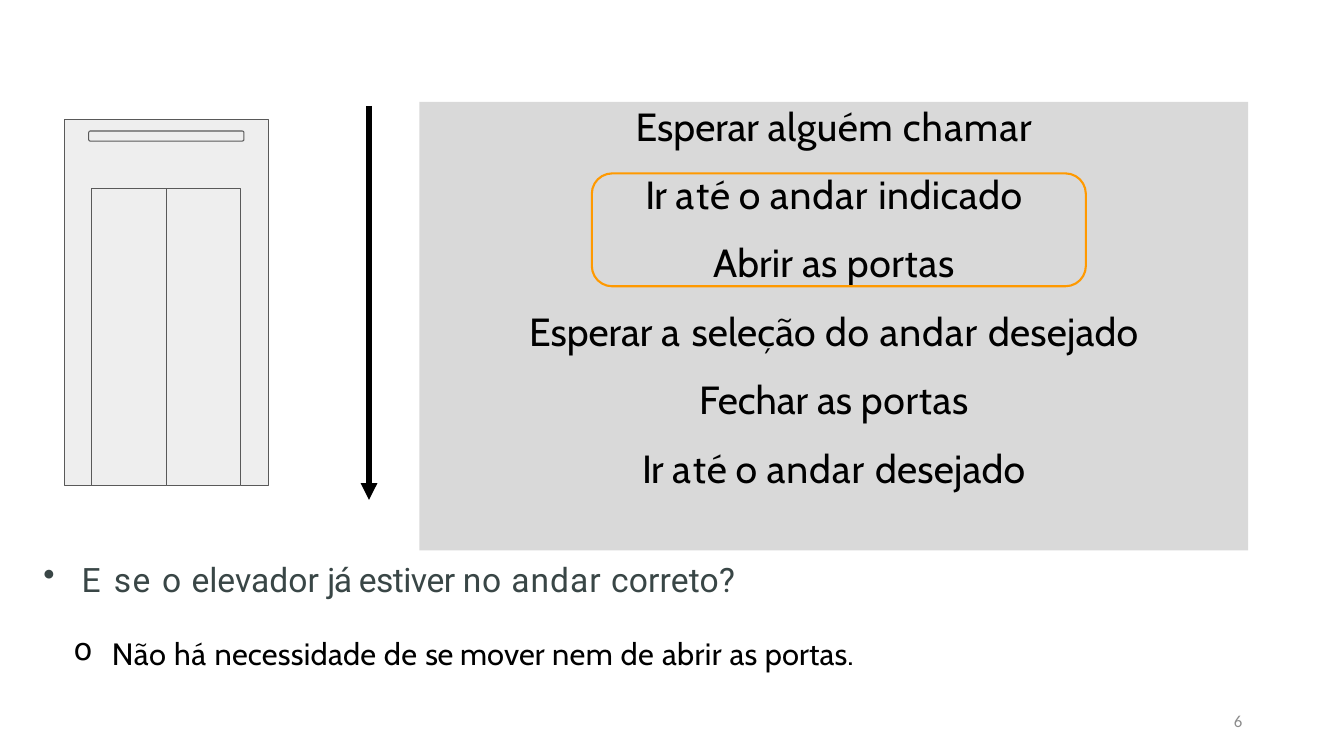
from lxml import etree
from pptx import Presentation, util as u
from pptx.dml.color import RGBColor
from pptx.enum import shapes, text
from pptx.oxml.ns import qn

# Content: each line is a list of (words, letter spacing in points)
GO_TO_FLOOR = [("Ir ", -0.4), ("a", 1.5), ("t", 0.5), ("é ", 0), ("o ", 0.2), ("andar ", 0.7)]
STEPS = [
    [("Esperar ", 0), ("alguém ", 0.4), ("chamar", 0.8)],
    GO_TO_FLOOR + [("indicado", 0.4)],
    [("Abrir ", 0.1), ("as ", 0.2), ("portas", 0.5)],
    [("Esperar ", 0), ("a ", 1), ("seleção ", 0.1), ("do ", 0.6), ("andar ", 0.7),
     ("desejado", 0.2)],
    [("Fechar as ", 0), ("portas", 0.5)],
    GO_TO_FLOOR + [("desejado", 0.2)],
]
QUESTION = [("E ", 1.7), ("se ", 1.1), ("o ", 0.7), ("elevador ", 0), ("já ", -1.1),
            ("estiver ", -0.4), ("no ", 0.6), ("andar ", 0.7), ("correto?", 0.1)]
ANSWER = [("Não ", 0.4), ("há ", 0.5), ("necessidade ", 0.2), ("de ", 0.4), ("se ", -0.2),
          ("mover ", 0.1), ("nem ", 0.3), ("de ", 0.4), ("abrir ", 0.3), ("as ", 0.2),
          ("portas.", 0.1)]
PAGE = [("6", 0)]

BLACK = RGBColor(0, 0, 0)
SLATE = RGBColor(0x39, 0x46, 0x46)
GRAY = RGBColor(0x8C, 0x8C, 0x8C)
PANEL = RGBColor(0xD9, 0xD9, 0xD9)
STEEL = RGBColor(0xEE, 0xEE, 0xEE)
EDGE = RGBColor(0x59, 0x59, 0x59)
ORANGE = RGBColor(0xFF, 0x99, 0x00)

STEP_FONT = dict(name="Cabin", size=u.Pt(28), color=BLACK)
QUESTION_FONT = dict(name="Roboto", size=u.Pt(24), color=SLATE)
ANSWER_FONT = dict(name="Cabin", size=u.Pt(22), color=BLACK)
PAGE_FONT = dict(name="Calibri", size=u.Pt(12), color=GRAY)

# Layout in inches: left, top, width, height
CABIN = (0.64, 1.19, 2.02, 3.63)
SIGN = (0.88, 1.3, 1.54, 0.1)
DOOR_LEFT, DOOR_TOP, DOOR_WIDTH = 0.91, 1.87, 0.74
DOOR_HEIGHT = CABIN[1] + CABIN[3] - DOOR_TOP
DOORS = [(DOOR_LEFT + i * DOOR_WIDTH, DOOR_TOP, DOOR_WIDTH, DOOR_HEIGHT) for i in range(2)]
RECT = shapes.MSO_SHAPE.RECTANGLE
ROUND = shapes.MSO_SHAPE.ROUNDED_RECTANGLE

prs = Presentation()
prs.slide_width, prs.slide_height = u.Inches(13.33), u.Inches(7.5)
s = prs.slides.add_slide(prs.slide_layouts[6])


def add_box(kind, box, fill=None, line=None, width=0.75):
    sp = s.shapes.add_shape(kind, *map(u.Inches, box))
    sp.shadow.inherit = False
    for part, color in ((sp.fill, fill), (sp.line.fill, line)):
        if color is None:
            part.background()
        else:
            part.solid()
            part.fore_color.rgb = color
    if line is not None:
        sp.line.width = u.Pt(width)
    return sp


def set_frame(sp, anchor, margins=(0, 0, 0, 0)):
    tf = sp.text_frame
    sides = ("margin_left", "margin_top", "margin_right", "margin_bottom")
    frame = dict(zip(sides, map(u.Inches, margins)), word_wrap=True, vertical_anchor=anchor)
    for key, value in frame.items():
        setattr(tf, key, value)
    return tf


def add_line(tf, words, font, align, before=0, bullet=None, indent=0):
    p = tf.paragraphs[0]
    if p.runs:
        p = tf.add_paragraph()
    p.alignment = align
    p.space_before = u.Pt(before)
    if bullet:
        pPr = p._p.get_or_add_pPr()
        pPr.set("marL", str(u.Inches(indent)))
        pPr.set("indent", str(u.Inches(-0.38)))
        etree.SubElement(pPr, qn("a:buChar")).set("char", bullet)
    for word, spacing in words:
        r = p.add_run()
        r.text = word
        for key, value in font.items():
            if key == "color":
                r.font.color.rgb = value
            else:
                setattr(r.font, key, value)
        r._r.get_or_add_rPr().set("spc", str(round(spacing * 100)))


# Elevator
for kind, box in [(RECT, CABIN), (ROUND, SIGN)] + [(RECT, door) for door in DOORS]:
    add_box(kind, box, STEEL, EDGE)

# Downward arrow
arrow = s.shapes.add_connector(shapes.MSO_CONNECTOR.STRAIGHT,
                               *map(u.Inches, (3.66, 1.05, 3.66, 4.96)))
arrow.line.color.rgb = BLACK
arrow.line.width = u.Pt(4)
etree.SubElement(arrow.line._get_or_add_ln(), qn("a:tailEnd")).set("type", "triangle")
etree.SubElement(arrow._element.spPr, qn("a:effectLst"))

# Panel of steps
panel = add_box(RECT, (4.16, 1.01, 8.22, 4.45), PANEL)
tf = set_frame(panel, text.MSO_ANCHOR.TOP)
for i, step in enumerate(STEPS):
    add_line(tf, step, STEP_FONT, text.PP_ALIGN.CENTER, 15.3 if i else 0)

# Highlight around the steps in question
highlight = add_box(ROUND, (5.87, 1.72, 4.9, 1.12), line=ORANGE, width=1.5)
highlight.adjustments[0] = 0.18

# Question and answer
notes = s.shapes.add_textbox(*map(u.Inches, (0.42, 5.53, 8.08, 1.52)))
tf = set_frame(notes, text.MSO_ANCHOR.TOP, (0, 0.01, 0, 0))
add_line(tf, QUESTION, QUESTION_FONT, text.PP_ALIGN.LEFT, bullet="•", indent=0.39)
add_line(tf, ANSWER, ANSWER_FONT, text.PP_ALIGN.LEFT, 26, bullet="o", indent=0.69)

# Page number
page = s.shapes.add_textbox(*map(u.Inches, (9.42, 6.95, 3, 0.4)))
tf = set_frame(page, text.MSO_ANCHOR.MIDDLE, (0.1, 0.05, 0.1, 0.05))
add_line(tf, PAGE, PAGE_FONT, text.PP_ALIGN.RIGHT)

prs.save("out.pptx")
